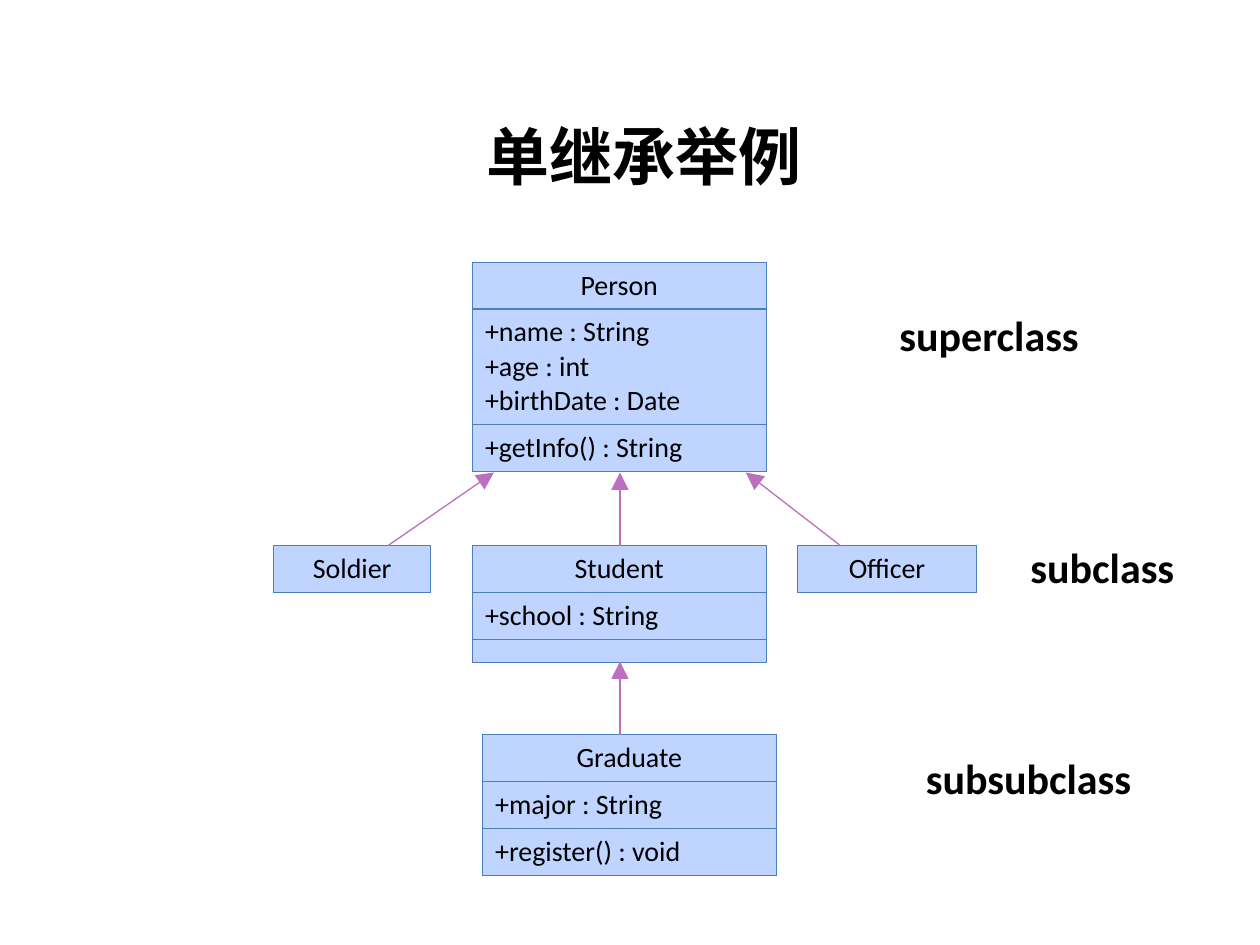
from lxml.etree import SubElement
from pptx import Presentation
from pptx.dml.color import RGBColor
from pptx.enum.shapes import MSO_CONNECTOR
from pptx.enum.text import MSO_ANCHOR, PP_ALIGN
from pptx.oxml.ns import qn
from pptx.util import Inches, Pt

BLACK, CLASS_FILL, BORDER, ARROW = "000000", "BFD4FF", "4B7EBC", "BD6FBF"
LINE_HEIGHT, CELL_PADDING, EMPTY_ROW = 0.27, 0.1, 0.18


def color(hex_code):
    return RGBColor.from_string(hex_code)


def add_run(paragraph, text, size, font="Calibri", bold=False):
    run = paragraph.add_run()
    run.text = text
    run.font.size = Pt(size)
    run.font.name = font
    run.font.bold = bold
    run.font.color.rgb = color(BLACK)


def add_title(slide, text, left, top, width, height):
    title = slide.shapes.title
    title.left, title.top = Inches(left), Inches(top)
    title.width, title.height = Inches(width), Inches(height)
    frame = title.text_frame
    frame.vertical_anchor = MSO_ANCHOR.MIDDLE
    frame.paragraphs[0].alignment = PP_ALIGN.CENTER
    add_run(frame.paragraphs[0], text, 36, "Times New Roman", True)


def add_borders(cell):
    properties = cell._tc.get_or_add_tcPr()
    # Border elements come before the fill in the schema
    for index, side in enumerate(("a:lnL", "a:lnR", "a:lnT", "a:lnB")):
        line = SubElement(properties, qn(side), w=str(Pt(0.75)))
        fill = SubElement(line, qn("a:solidFill"))
        SubElement(fill, qn("a:srgbClr"), val=BORDER)
        properties.insert(index, line)


def add_class(slide, left, top, width, *compartments):
    """Draw a UML class: its name, then its attributes and operations."""
    heights = [len(lines) * LINE_HEIGHT + CELL_PADDING if lines else EMPTY_ROW
               for lines in compartments]
    table = slide.shapes.add_table(
        len(compartments), 1, Inches(left), Inches(top),
        Inches(width), Inches(sum(heights))).table
    table.first_row = table.horz_banding = False
    for index, (lines, height) in enumerate(zip(compartments, heights)):
        table.rows[index].height = Inches(height)
        cell = table.cell(index, 0)
        cell.vertical_anchor = MSO_ANCHOR.MIDDLE
        cell.fill.solid()
        cell.fill.fore_color.rgb = color(CLASS_FILL)
        add_borders(cell)
        frame = cell.text_frame
        if not lines:
            # Small type keeps the empty compartment low
            SubElement(frame.paragraphs[0]._p, qn("a:endParaRPr"), sz="500")
        for number, line in enumerate(lines):
            paragraph = frame.add_paragraph() if number else frame.paragraphs[0]
            paragraph.alignment = PP_ALIGN.LEFT if index else PP_ALIGN.CENTER
            add_run(paragraph, line, 16)


def add_inheritance(slide, start, end):
    arrow = slide.shapes.add_connector(
        MSO_CONNECTOR.STRAIGHT, *(Inches(value) for value in (*start, *end)))
    arrow.line.color.rgb = color(ARROW)
    arrow.line.width = Pt(0.75)
    SubElement(arrow.line._get_or_add_ln(), qn("a:tailEnd"),
               type="triangle", w="lg", len="lg")
    SubElement(arrow._element.spPr, qn("a:effectLst"))


def add_level_label(slide, text, left, top, width):
    label = slide.shapes.add_textbox(
        Inches(left), Inches(top), Inches(width), Inches(0.5))
    label.text_frame.word_wrap = True
    add_run(label.text_frame.paragraphs[0], text, 24, bold=True)


def add_class_diagram(slide):
    person_top, subclass_top, graduate_top = 2.08, 4.33, 5.83
    center, class_width = 4.92, 2.33

    # Classes
    add_class(slide, 3.75, person_top, class_width, ["Person"],
              ["+name : String", "+age : int", "+birthDate : Date"],
              ["+getInfo() : String"])
    add_class(slide, 2.17, subclass_top, 1.25, ["Soldier"])
    add_class(slide, 3.75, subclass_top, class_width,
              ["Student"], ["+school : String"], [])
    add_class(slide, 6.33, subclass_top, 1.42, ["Officer"])
    add_class(slide, 3.83, graduate_top, class_width,
              ["Graduate"], ["+major : String"], ["+register() : void"])

    # Inheritance arrows, from subclass to parent
    for start, end in ((3.08, 3.92), (center, center), (6.67, 5.92)):
        add_inheritance(slide, (start, subclass_top), (end, 3.75))
    add_inheritance(slide, (center, graduate_top), (center, 5.25))

    # Level labels
    add_level_label(slide, "superclass", 7.04, 2.41, 2.08)
    add_level_label(slide, "subclass", 8.08, 4.25, 1.56)
    add_level_label(slide, "subsubclass", 7.25, 5.92, 2)


def main():
    presentation = Presentation()
    presentation.slide_width = Inches(10)
    presentation.slide_height = Inches(7.5)
    slide = presentation.slides.add_slide(presentation.slide_layouts[5])
    add_title(slide, "单继承举例", 2.98, 0.84, 4.27, 0.79)
    add_class_diagram(slide)
    presentation.save("out.pptx")


if __name__ == "__main__":
    main()
